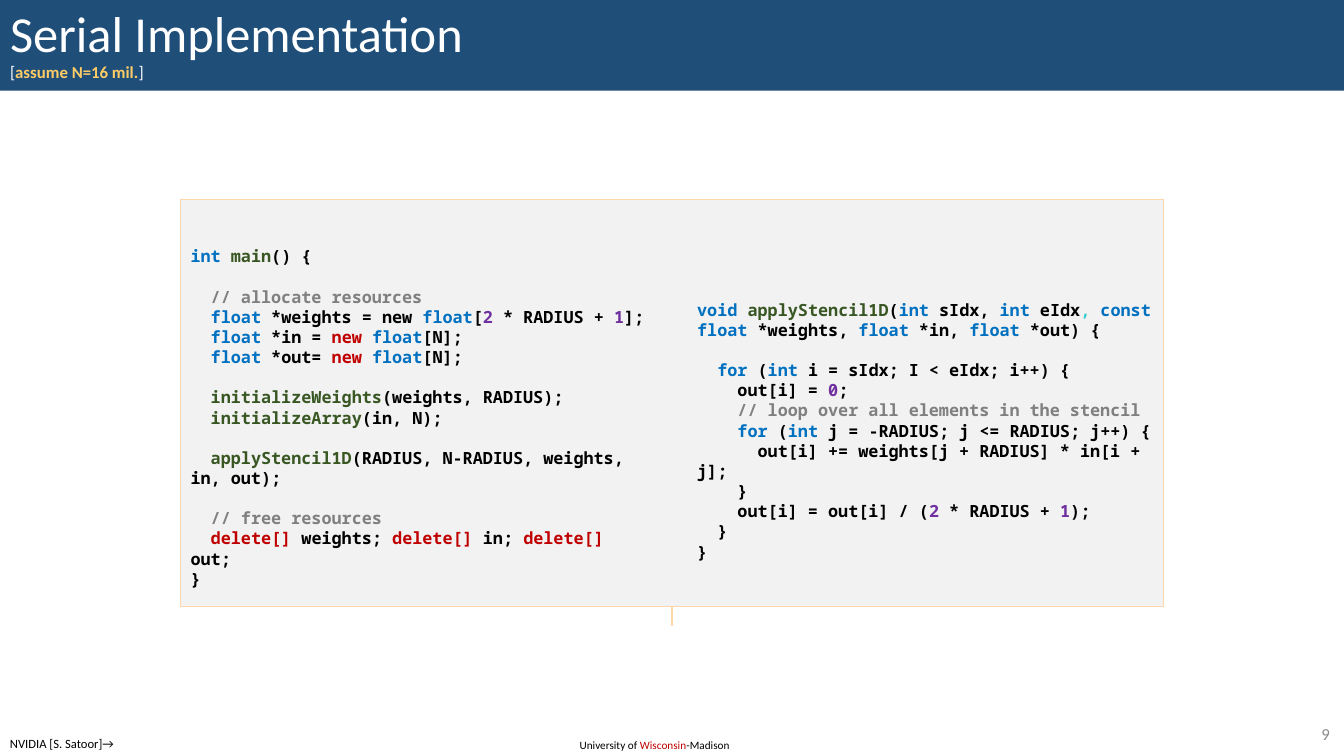
from dataclasses import dataclass
from lxml.etree import SubElement
from pptx import Presentation
from pptx.dml.color import RGBColor as RGB
from pptx.enum.shapes import MSO_CONNECTOR as LINE, MSO_SHAPE as SHAPE
from pptx.enum.text import MSO_ANCHOR as ANCHOR, MSO_AUTO_SIZE as FIT, PP_ALIGN as ALIGN
from pptx.oxml.ns import qn
from pptx.util import Inches, Pt


@dataclass(frozen=True)
class Theme:
    """Colours, fonts and type sizes of the slide."""
    navy: str = "1F4E79"
    white: str = "FFFFFF"
    gold: str = "FFCC66"
    black: str = "000000"
    red: str = "C00000"
    grey: str = "8C8C8C"
    panel: str = "F2F2F2"
    edge: str = "FFD6AD"
    sans: str = "Calibri"
    mono: str = "Noto Sans Mono"
    head: float = 36
    body: float = 12
    note: float = 9
    foot: float = 8
    lead: float = 14.4


THEME = Theme()
INK = {"": THEME.black, "type": "0070C0", "func": "385723", "key": THEME.red,
       "num": "7030A0", "note": "808080", "teal": "33CCCC"}

MAIN = """type:int |func:main|() {

  |note:// allocate resources
  |type:float |*weights = new |type:float|[|num:2| * RADIUS + |num:1|];
  |type:float |*in = |key:new |type:float|[N];
  |type:float |*out= |key:new |type:float|[N];

  |func:initializeWeights|(weights, RADIUS);
  |func:initializeArray|(in, N);

  |func:applyStencil1D|(RADIUS, N-RADIUS, weights, in, out);

  |note:// free resources
  |key:delete[]| weights; |key:delete[]| in; |key:delete[]| out;
}"""

STENCIL = """type:void |func:applyStencil1D|(|type:int |sIdx, |type:int |eIdx|teal:, |type:const float |*weights, |type:float |*in, |type:float |*out) {

  |type:for |(|type:int |i = sIdx; I < eIdx; i++) {
    out[i] = |num:0|;
    |note:// loop over all elements in the stencil
    |type:for |(|type:int |j = -RADIUS; j <= RADIUS; j++) {
      out[i] += weights[j + RADIUS] * in[i + j];
    }
    out[i] = out[i] / (|num:2| * RADIUS + |num:1|);
  }
}"""


def style(font, size, face=THEME.sans, bold=False):
    """Set the size, face and weight of a font."""
    font.size, font.name, font.bold = Pt(size), face, bold


def add_run(para, text, ink):
    """Add a coloured run to a paragraph."""
    run = para.add_run()
    run.text = text
    run.font.color.rgb = RGB.from_string(ink)
    return run


def add_label(slide, box, parts, size, align=ALIGN.LEFT, anchor=ANCHOR.TOP):
    """Place one line of text made of (text, colour) parts."""
    frame = slide.shapes.add_textbox(*map(Inches, box)).text_frame
    frame.word_wrap = False
    frame.vertical_anchor = anchor
    para = frame.paragraphs[0]
    para.alignment = align
    style(para.font, size)
    for text, ink in parts:
        add_run(para, text, ink)


def add_head(slide, box):
    """Fill the title band with the title and its side note."""
    title = slide.shapes.title
    title.left, title.top, title.width, title.height = map(Inches, box)
    title.fill.solid()
    title.fill.fore_color.rgb = RGB.from_string(THEME.navy)
    frame = title.text_frame
    frame.auto_size = FIT.NONE
    frame.vertical_anchor = ANCHOR.MIDDLE
    para = frame.paragraphs[0]
    para.alignment, para.line_spacing = ALIGN.LEFT, 0.9
    style(para.font, THEME.head)
    add_run(para, "Serial Implementation", THEME.white)
    para.add_line_break()
    for text, ink in (("[", THEME.white), ("assume N=16 mil.", THEME.gold),
                      ("]", THEME.white)):
        run = add_run(para, text, ink)
        style(run.font, THEME.body, bold=ink == THEME.gold)


def add_code(slide, box, code):
    """Write coloured code, with blank lines as paragraph spacing."""
    frame = slide.shapes.add_textbox(*map(Inches, box)).text_frame
    frame.word_wrap = True
    frame.margin_left = frame.margin_right = frame.margin_top = frame.margin_bottom = 0
    rows = [(row, at == 0 and part > 0)
            for part, block in enumerate(code.split("\n\n"))
            for at, row in enumerate(block.split("\n"))]
    for at, (row, gap) in enumerate(rows):
        para = frame.add_paragraph() if at else frame.paragraphs[0]
        para.line_spacing = Pt(THEME.lead)
        para.space_before = Pt(THEME.lead if gap else 0)
        style(para.font, THEME.body, THEME.mono, True)
        for part in row.split("|"):
            kind, _, text = part.rpartition(":")
            add_run(para, text, INK[kind])


def add_panel(slide, box):
    """Draw the divider, the code panel and its two columns."""
    left, top, width, height = box
    mid = left + width / 2
    rule = slide.shapes.add_connector(LINE.STRAIGHT, Inches(mid), Inches(top + 0.19),
                                      Inches(mid), Inches(top + height + 0.19))
    SubElement(rule._element.spPr, qn("a:effectLst"))
    panel = slide.shapes.add_shape(SHAPE.RECTANGLE, *map(Inches, box))
    panel.shadow.inherit = False
    panel.fill.solid()
    panel.fill.fore_color.rgb = RGB.from_string(THEME.panel)
    for line in (rule.line, panel.line):
        line.color.rgb = RGB.from_string(THEME.edge)
        line.width = Pt(0.75)
    pad, gap = 0.1, 0.5
    wide = (width - 2 * pad - gap) / 2
    for col, (drop, code) in enumerate(((0.46, MAIN), (0.99, STENCIL))):
        add_code(slide, (left + pad + col * (wide + gap), top + drop,
                         wide, height - drop - pad), code)


def add_foot(slide, box):
    """Place the credit, the school name and the page number."""
    left, top, width, height = box
    add_label(slide, (left, top + 0.12, 1.23, 0.25),
              [("NVIDIA [S. Satoor]→", THEME.black)], THEME.note)
    add_label(slide, (left + 5.65, top + 0.15, 1.72, 0.24),
              [("University of ", THEME.black), ("Wisconsin", THEME.red),
               ("-Madison", THEME.black)], THEME.foot)
    add_label(slide, (left + width - 0.8, top, 0.76, 0.29), [("9", THEME.grey)],
              THEME.body, ALIGN.RIGHT, ANCHOR.MIDDLE)


def main():
    """Build the slide and save it."""
    deck = Presentation()
    deck.slide_width, deck.slide_height = Inches(13.33), Inches(7.5)
    slide = deck.slides.add_slide(deck.slide_layouts[5])
    add_head(slide, (0, 0, 13.33, 0.9))
    add_panel(slide, (1.79, 1.98, 9.75, 4.04))
    add_foot(slide, (0, 7.13, 13.33, 0.37))
    deck.save("out.pptx")


if __name__ == "__main__":
    main()
